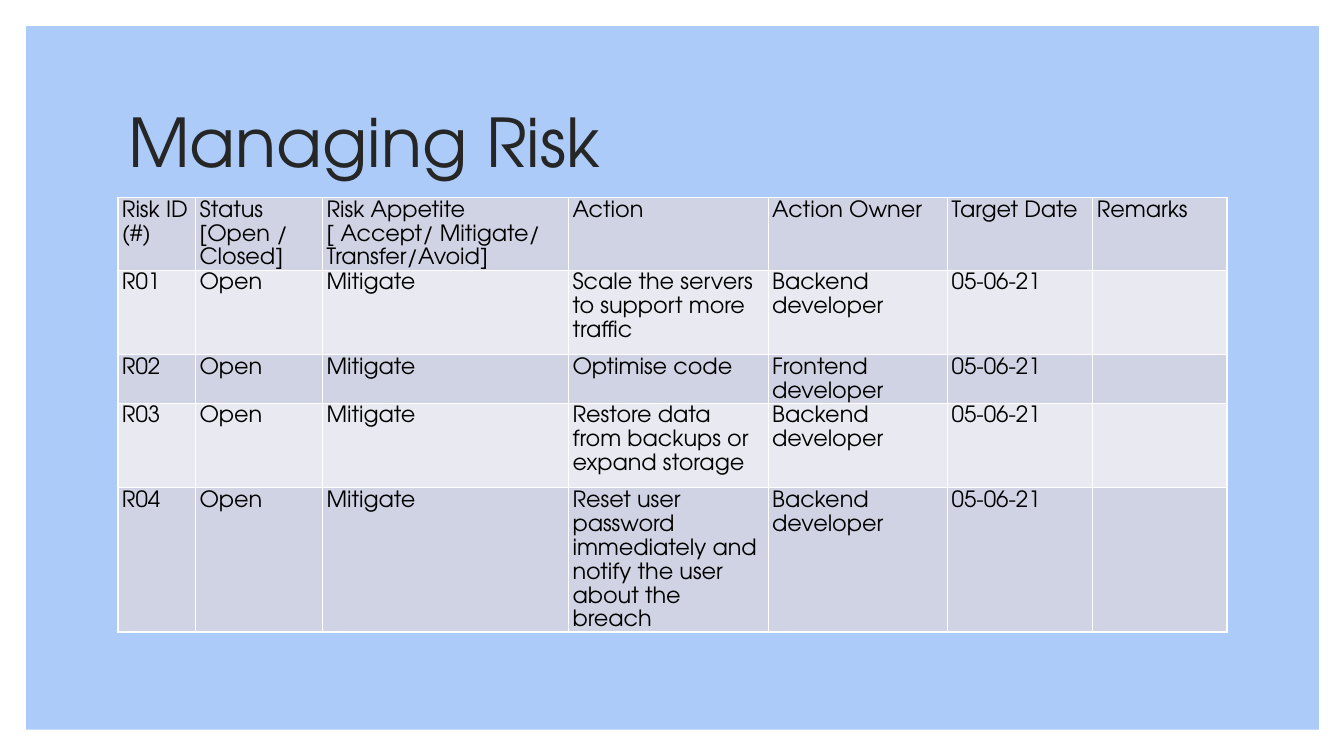
from lxml.etree import SubElement
from pptx import Presentation
from pptx.dml.color import RGBColor
from pptx.enum.shapes import MSO_SHAPE
from pptx.enum.text import MSO_ANCHOR, MSO_AUTO_SIZE, PP_ALIGN
from pptx.oxml.ns import qn
from pptx.util import Pt

EMU_PER_PX = 9144  # 100 px to the inch
FONT = "TeX Gyre Adventor"
PANEL_BLUE = RGBColor(0xAC, 0xCB, 0xF9)
TITLE_GREY = RGBColor(0x26, 0x26, 0x26)
BLACK = RGBColor(0x00, 0x00, 0x00)
WHITE = RGBColor(0xFF, 0xFF, 0xFF)
BAND_COLOURS = (RGBColor(0xD0, 0xD3, 0xE3), RGBColor(0xE9, 0xEA, 0xF1))

COLUMN_WIDTHS = (77, 126, 244, 198, 178, 144, 133)
ROW_HEIGHTS = (72, 84, 48, 84, 143)
HEADERS = ("Risk ID (#)", "Status [Open / Closed]",
           "Risk Appetite [ Accept/ Mitigate/ Transfer/Avoid]",
           "Action", "Action Owner", "Target Date", "Remarks")
RISKS = (
    ("R01", "Scale the servers to support more traffic", "Backend developer"),
    ("R02", "Optimise code", "Frontend developer"),
    ("R03", "Restore data from backups or expand storage", "Backend developer"),
    ("R04", "Reset user password immediately and notify the user about the breach",
     "Backend developer"),
)


def px(length):
    return length * EMU_PER_PX


def add_run(paragraph, text, size, colour):
    run = paragraph.add_run()
    run.text = text
    run.font.name = FONT
    run.font.size = Pt(size)
    run.font.color.rgb = colour


def add_panel(slide, left, top, width, height):
    panel = slide.shapes.add_shape(
        MSO_SHAPE.RECTANGLE, px(left), px(top), px(width), px(height))
    panel.shadow.inherit = False
    panel.fill.solid()
    panel.fill.fore_color.rgb = PANEL_BLUE
    panel.line.fill.background()
    # Keep the panel behind the title placeholder.
    slide.shapes.title.element.addprevious(panel.element)


def fill_title(slide, left, top, width, height):
    title = slide.shapes.title
    title.left, title.top = px(left), px(top)
    title.width, title.height = px(width), px(height)
    frame = title.text_frame
    frame.word_wrap = True
    frame.auto_size = MSO_AUTO_SIZE.NONE
    frame.vertical_anchor = MSO_ANCHOR.MIDDLE
    paragraph = frame.paragraphs[0]
    paragraph.alignment = PP_ALIGN.LEFT
    paragraph.line_spacing = 0.9
    add_run(paragraph, "Managing Risk", 48, TITLE_GREY)


def add_cell_borders(cell):
    properties = cell._tc.get_or_add_tcPr()
    for side in ("a:lnL", "a:lnR", "a:lnT", "a:lnB"):
        line = SubElement(properties, qn(side), w=str(Pt(1)))
        solid = SubElement(line, qn("a:solidFill"))
        SubElement(solid, qn("a:srgbClr"), val=str(WHITE))


def fill_cell(cell, text, colour):
    add_cell_borders(cell)
    cell.fill.solid()
    cell.fill.fore_color.rgb = colour
    cell.margin_left = cell.margin_right = px(4)
    cell.margin_top = cell.margin_bottom = 0
    if text:
        paragraph = cell.text_frame.paragraphs[0]
        paragraph.line_spacing = 1.15
        paragraph.space_after = Pt(10)
        add_run(paragraph, text, 16, BLACK)


def add_risk_table(slide, left, top):
    rows = [HEADERS] + [
        (risk, "Open", "Mitigate", action, owner, "05-06-21", "")
        for risk, action, owner in RISKS]
    table = slide.shapes.add_table(
        len(rows), len(HEADERS), px(left), px(top),
        px(sum(COLUMN_WIDTHS)), px(sum(ROW_HEIGHTS))).table
    table.first_row = table.horz_banding = False
    for column, width in zip(table.columns, COLUMN_WIDTHS):
        column.width = px(width)
    for index, (row, height, texts) in enumerate(zip(table.rows, ROW_HEIGHTS, rows)):
        row.height = px(height)
        for cell, text in zip(row.cells, texts):
            fill_cell(cell, text, BAND_COLOURS[index % 2])


def build_risk_slide(presentation):
    slide = presentation.slides.add_slide(presentation.slide_layouts[5])
    slide.background.fill.solid()
    slide.background.fill.fore_color.rgb = WHITE
    add_panel(slide, 26, 26, 1282, 698)
    fill_title(slide, 117, 70, 1100, 150)
    add_risk_table(slide, 117, 196)


def main():
    presentation = Presentation()
    presentation.slide_width = px(1333)
    presentation.slide_height = px(750)
    build_risk_slide(presentation)
    presentation.save("out.pptx")


if __name__ == "__main__":
    main()
